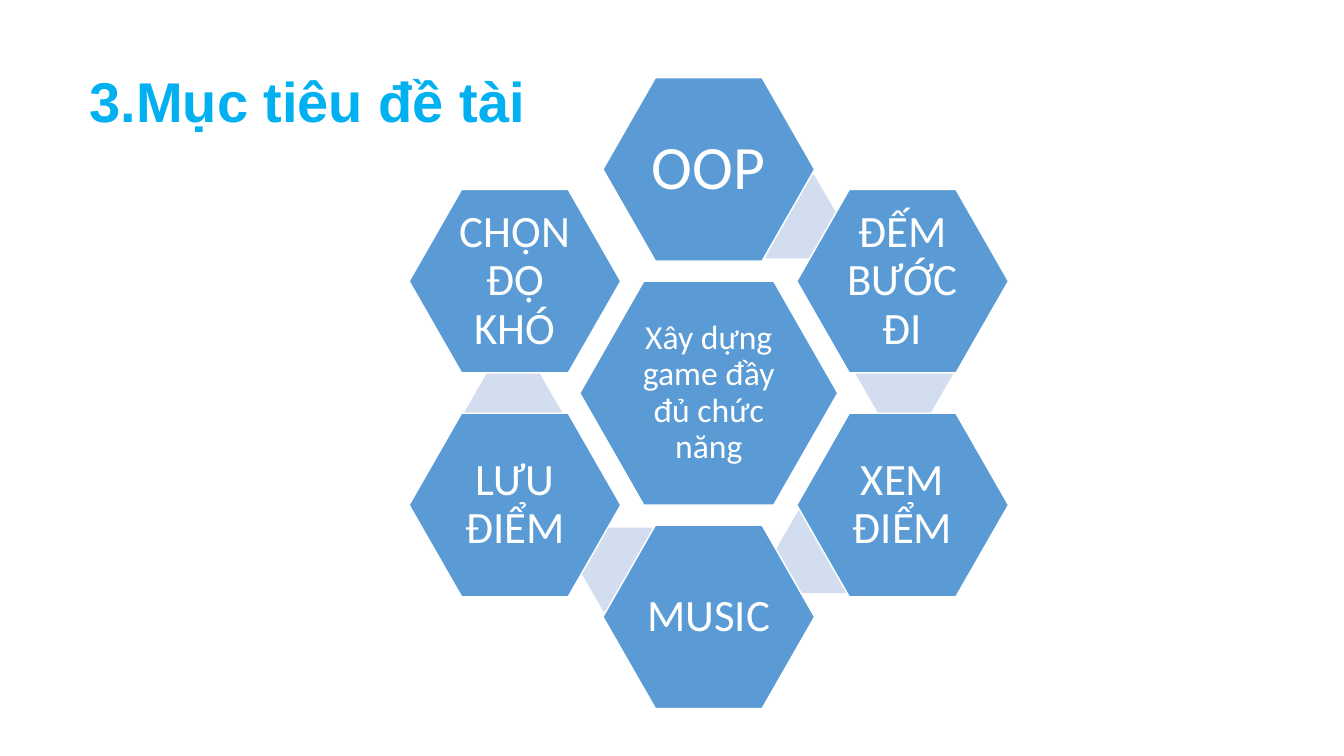
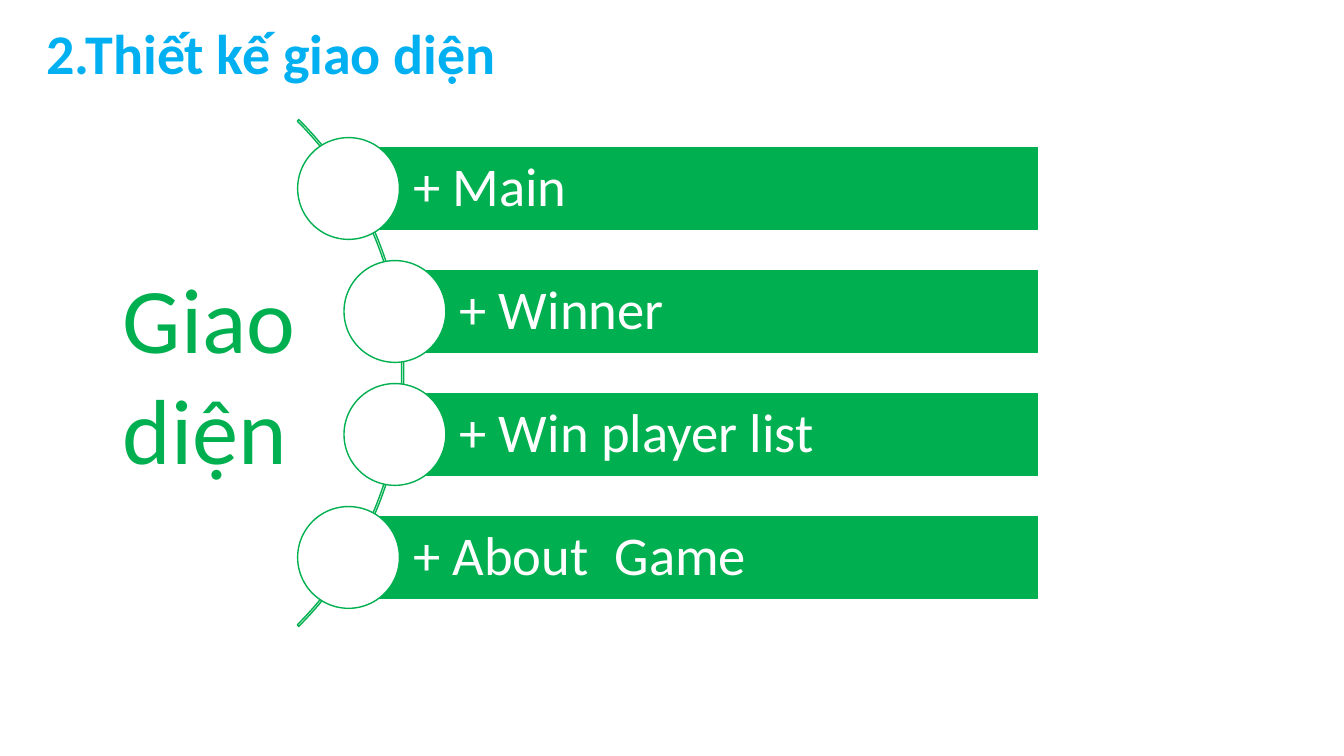
from dataclasses import dataclass
from math import cos, radians, sin, sqrt
from typing import Optional

from pptx import Presentation
from pptx.dml.color import RGBColor
from pptx.enum.shapes import MSO_SHAPE as Shape
from pptx.enum.text import MSO_ANCHOR as Anchor, MSO_AUTO_SIZE as AutoSize, PP_ALIGN as Align
from pptx.util import Inches, Pt

COLORS = {
    "title": "00B0F0",
    "hexagon": "5B9BD5",
    "link": "D2DEEF",
    "green": "00B050",
    "white": "FFFFFF",
}
SLIDE_SIZE = (13.33, 7.5)


@dataclass(frozen=True)
class TextStyle:
    size: float
    color: str = "white"
    name: str = "Calibri"
    bold: bool = False
    align: Align = Align.LEFT
    line_spacing: Optional[float] = None


@dataclass(frozen=True)
class Goal:
    text: str
    size: int = 32
    inset: float = 0.04
    # Centre of the pale link hexagon, measured from the middle of the ring
    link: Optional[tuple[float, float]] = None


# Slide 1: a ring of goals, clockwise from the top
RING_CENTER = (7.03, 3.9)
RING_RADIUS = 2.22
HUB = Goal("Xây dựng game đầy đủ chức năng", 24, 0.03)
HUB_SIZE = (2.56, 2.22)
GOAL_SIZE = (2.1, 1.82)
LINK_SIZE = (0.97, 0.83)
GOALS = [
    Goal("OOP", 44, 0.06, link=(0.8, -1.75)),
    Goal("ĐẾM BƯỚC ĐI", link=(1.94, -0.19)),
    Goal("XEM ĐIỂM", link=(1.14, 1.57)),
    Goal("MUSIC", link=(-0.8, 1.75)),
    Goal("LƯU ĐIỂM", link=(-1.94, 0.19)),
    Goal("CHỌN ĐỘ KHÓ"),
]

# Slide 2: bars that start on an arc
SCREENS = ["+ Main", "+ Winner", "+ Win player list", "+ About\tGame"]
ARC_CENTER = (0.45, 3.7)
ARC_SIZE = 7.11
TRACK_RADIUS = 3.52
BAR_RIGHT, BAR_HEIGHT, BAR_PITCH = 10.29, 0.81, 1.22
DOT_SIZE = 1.01


def rgb(color: str) -> RGBColor:
    return RGBColor.from_string(COLORS[color])


def write(shape, text: str, style: TextStyle) -> None:
    para = shape.text_frame.paragraphs[0]
    para_format = {"alignment": style.align, "line_spacing": style.line_spacing}
    for key, value in para_format.items():
        setattr(para, key, value)
    span = para.add_run()
    span.text = text
    font_format = {"size": Pt(style.size), "name": style.name, "bold": style.bold}
    for key, value in font_format.items():
        setattr(span.font, key, value)
    span.font.color.rgb = rgb(style.color)


def add_label(page, text: str, left: float, top: float, width: float, height: float,
              style: TextStyle) -> None:
    box = page.shapes.add_textbox(*map(Inches, (left, top, width, height)))
    box.text_frame.word_wrap = True
    box.text_frame.auto_size = AutoSize.SHAPE_TO_FIT_TEXT
    write(box, text, style)


def add_title(page, text: str, left: float, top: float, width: float,
              font: str = "Calibri") -> None:
    add_label(page, text, left, top, width, 0.77, TextStyle(40, "title", font, bold=True))


def add_centered(page, kind: Shape, center: tuple[float, float], size: tuple[float, float],
                 fill: str, line: Optional[str] = None):
    corner = [middle - length / 2 for middle, length in zip(center, size)]
    shape = page.shapes.add_shape(kind, *map(Inches, (*corner, *size)))
    shape.shadow.inherit = False
    shape.fill.solid()
    shape.fill.fore_color.rgb = rgb(fill)
    if line:
        shape.line.color.rgb = rgb(line)
        shape.line.width = Pt(1)
    else:
        shape.line.fill.background()
    return shape


def set_frame(shape, left: float, other: float) -> None:
    frame_format = {
        "word_wrap": True,
        "vertical_anchor": Anchor.MIDDLE,
        "margin_left": Inches(left),
        "margin_top": Inches(other),
        "margin_right": Inches(other),
        "margin_bottom": Inches(other),
    }
    for key, value in frame_format.items():
        setattr(shape.text_frame, key, value)


def add_goal(page, goal: Goal, center: tuple[float, float], size: tuple[float, float]) -> None:
    hexagon = add_centered(page, Shape.HEXAGON, center, size, "hexagon", "white")
    hexagon.adjustments[0] = 0.286
    set_frame(hexagon, goal.inset, goal.inset)
    write(hexagon, goal.text, TextStyle(goal.size, align=Align.CENTER, line_spacing=0.9))


def build_goals(page) -> None:
    x, y = RING_CENTER
    # Links lie under the ring
    for goal in GOALS:
        if goal.link:
            link_center = (x + goal.link[0], y + goal.link[1])
            link = add_centered(page, Shape.HEXAGON, link_center, LINK_SIZE, "link")
            link.adjustments[0] = 0.289
    # Hub and ring
    add_goal(page, HUB, RING_CENTER, HUB_SIZE)
    for index, goal in enumerate(GOALS):
        angle = radians(index * 360 / len(GOALS))
        center = (x + RING_RADIUS * sin(angle), y - RING_RADIUS * cos(angle))
        add_goal(page, goal, center, GOAL_SIZE)
    add_title(page, "3.Mục tiêu đề tài", 0.79, 0.61, 8.25, "Arial")


def build_screens(page) -> None:
    add_title(page, "2.Thiết kế giao diện", 0.36, 0.13, 5.55)
    # Thin arc from 315 to 45 degrees
    arc = add_centered(page, Shape.BLOCK_ARC, ARC_CENTER, (ARC_SIZE, ARC_SIZE), "white", "green")
    for index, value in enumerate((189, 27, 0.003)):
        arc.adjustments[index] = value
    # Bars, each with a dot on the arc
    for index, text in enumerate(SCREENS):
        offset = (index - (len(SCREENS) - 1) / 2) * BAR_PITCH
        left = ARC_CENTER[0] + sqrt(TRACK_RADIUS ** 2 - offset ** 2)
        middle = ARC_CENTER[1] + offset
        bar = add_centered(page, Shape.RECTANGLE, ((left + BAR_RIGHT) / 2, middle),
                           (BAR_RIGHT - left, BAR_HEIGHT), "green", "green")
        set_frame(bar, 0.64, 0.11)
        write(bar, text, TextStyle(39, line_spacing=0.9))
        add_centered(page, Shape.OVAL, (left, middle), (DOT_SIZE, DOT_SIZE), "white", "green")
    add_label(page, "Giao diện", 1.12, 2.54, 2.42, 2.32, TextStyle(66, "green"))


def main() -> None:
    deck = Presentation()
    deck.slide_width, deck.slide_height = map(Inches, SLIDE_SIZE)
    blank = deck.slide_layouts[6]
    for build in (build_goals, build_screens):
        build(deck.slides.add_slide(blank))
    deck.save("out.pptx")


if __name__ == "__main__":
    main()
